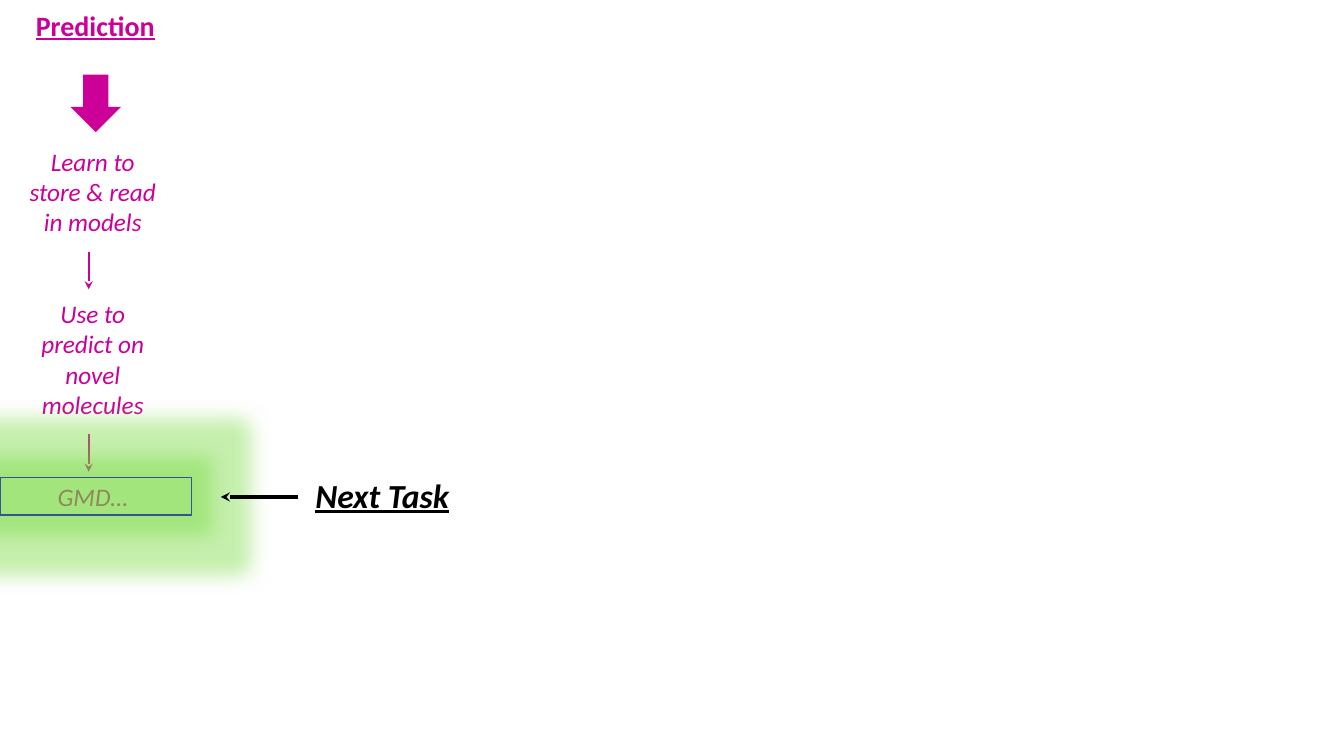
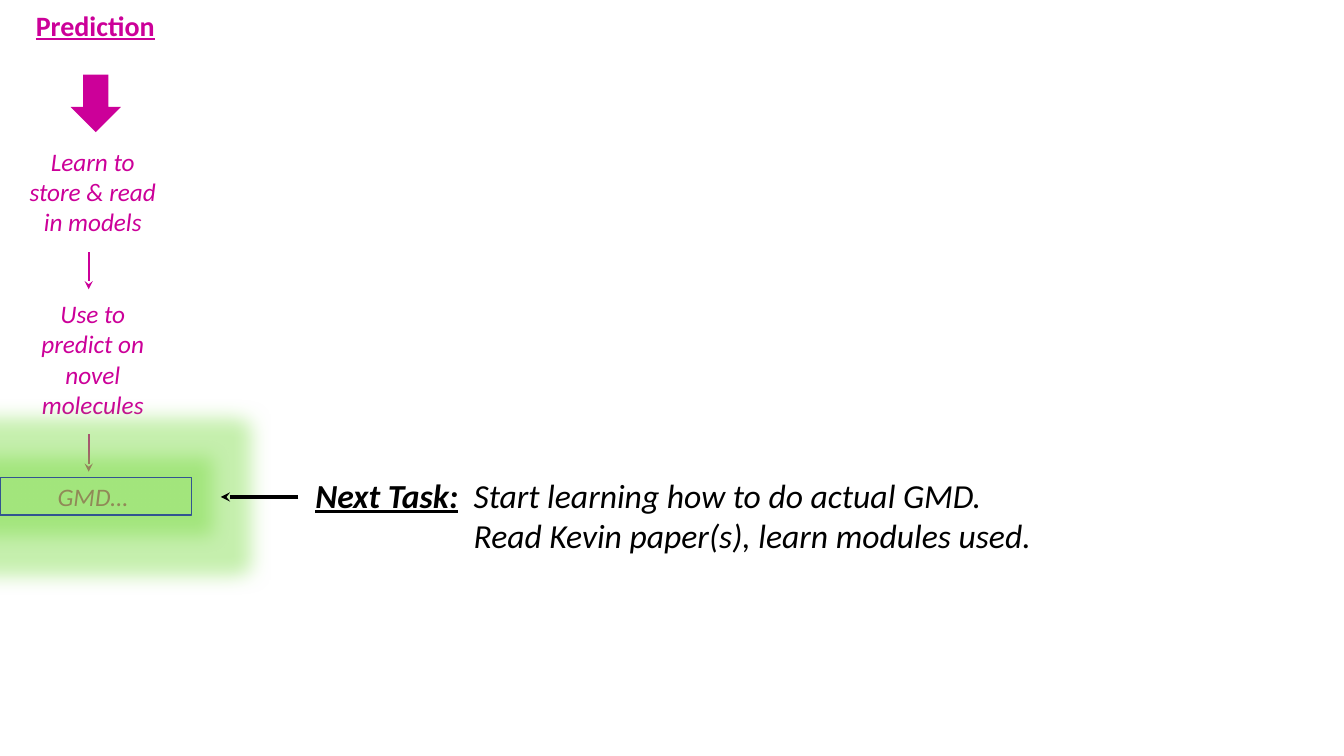
from dataclasses import dataclass

from lxml.etree import SubElement
from pptx import Presentation
from pptx.dml.color import RGBColor
from pptx.enum.shapes import MSO_CONNECTOR, MSO_SHAPE
from pptx.enum.text import MSO_ANCHOR, PP_ALIGN
from pptx.oxml.ns import qn
from pptx.util import Inches, Pt


@dataclass(frozen=True)
class Theme:
    font: str = "Calibri"
    accent: str = "CC0099"
    ink: str = "000000"
    frame: str = "325491"
    glow: str = "70D934"
    title_size: int = 20
    step_size: int = 18
    task_size: int = 24
    step_gap: int = 44
    thin: float = 1.5
    thick: float = 2.25
    glow_radius: float = 0.4
    glow_alpha: int = 40


THEME = Theme()
CELL = 0.1  # inches per grid column and row
STEPS = ["Learn to store & read in models", "Use to predict on novel molecules", "GMD…"]
HEADING = {"bold": True, "italic": True, "underline": True}
PLAIN = {"bold": False, "italic": True, "underline": False}


@dataclass(frozen=True)
class Box:
    """A region measured in grid columns and rows."""
    col: float
    row: float
    cols: float
    rows: float

    def area(self, col, row, cols, rows):
        return Box(self.col + col, self.row + row, cols, rows)

    def point(self, col, row):
        return cells(self.col + col), cells(self.row + row)

    @property
    def frame(self):
        return tuple(cells(n) for n in (self.col, self.row, self.cols, self.rows))


def cells(count):
    return Inches(count * CELL)


def style(target, **formats):
    for name, value in formats.items():
        setattr(target, name, value)


def add_span(para, text, size, color, **formats):
    span = para.add_run()
    span.text = text
    style(span.font, name=THEME.font, size=Pt(size), **formats)
    span.font.color.rgb = RGBColor.from_string(color)


def add_text_box(page, box):
    frame = page.shapes.add_textbox(*box.frame).text_frame
    frame.word_wrap = True
    return frame


def add_shape(page, kind, box, fill=None, line=None):
    shape = page.shapes.add_shape(kind, *box.frame)
    shape.shadow.inherit = False
    for paint, color in ((shape.fill, fill), (shape.line.fill, line)):
        if color:
            paint.solid()
            paint.fore_color.rgb = RGBColor.from_string(color)
        else:
            paint.background()
    return shape


def add_arrow(page, start, end, color, width):
    arrow = page.shapes.add_connector(MSO_CONNECTOR.STRAIGHT, *start, *end)
    arrow.line.color.rgb = RGBColor.from_string(color)
    arrow.line.width = Pt(width)
    outline = arrow._element.spPr.find(qn("a:ln"))
    SubElement(outline, qn("a:tailEnd"), type="stealth")
    SubElement(arrow._element.spPr, qn("a:effectLst"))


def add_glow(shape):
    effects = shape._element.spPr.find(qn("a:effectLst"))
    glow = SubElement(effects, qn("a:glow"), rad=str(Inches(THEME.glow_radius)))
    color = SubElement(glow, qn("a:srgbClr"), val=THEME.glow)
    SubElement(color, qn("a:alpha"), val=str(THEME.glow_alpha * 1000))


def add_title(page, box, text):
    title = page.shapes.title
    style(title, **dict(zip(("left", "top", "width", "height"), box.frame)))
    style(title.text_frame, word_wrap=False, vertical_anchor=MSO_ANCHOR.TOP)
    para = title.text_frame.paragraphs[0]
    para.alignment = PP_ALIGN.CENTER
    add_span(para, text, THEME.title_size, THEME.accent, bold=True, underline=True)


def add_prediction_column(page, box):
    add_title(page, box.area(2.5, 0.3, 13.9, 4.4), "Prediction")

    # Steps, one paragraph each
    frame = add_text_box(page, box.area(1.8, 14, 14.8, 40.4))
    for index, step in enumerate(STEPS):
        para = frame.add_paragraph() if index else frame.paragraphs[0]
        para.alignment = PP_ALIGN.CENTER
        if index:
            para.space_before = Pt(THEME.step_gap)
        add_span(para, step, THEME.step_size, THEME.accent, italic=True)

    # Arrows between the steps
    add_shape(page, MSO_SHAPE.DOWN_ARROW, box.area(7, 7.4, 5, 5.7), fill=THEME.accent)
    for row in (25, 43.1):
        add_arrow(page, box.point(8.8, row), box.point(8.8, row + 3.7),
                  THEME.accent, THEME.thin)

    # Glowing frame around the last step
    marker = add_shape(page, MSO_SHAPE.RECTANGLE, box.area(0, 47.4, box.cols, 3.7),
                       line=THEME.frame)
    marker.line.width = Pt(1)
    add_glow(marker)


def add_task(page, box, heading, actions):
    middle = 2.7
    add_arrow(page, box.point(7.7, middle), box.point(0, middle), THEME.ink, THEME.thick)
    frame = add_text_box(page, box.area(8.4, 0, box.cols - 8.4, box.rows))
    para = frame.paragraphs[0]
    add_span(para, heading, THEME.task_size, THEME.ink, **HEADING)

    # Actions line up on a hanging indent
    indent = cells(15.7)
    for index, action in enumerate(actions):
        if index:
            para = frame.add_paragraph()
        properties = para._p.get_or_add_pPr()
        properties.set("marL", str(indent))
        properties.set("indent", str(0 if index else -indent))
        lead = "" if index else "\t"
        add_span(para, lead + action, THEME.task_size, THEME.ink, **PLAIN)


def add_task_page(deck, heading, actions, cols, rows):
    page = deck.slides.add_slide(deck.slide_layouts[5])
    add_prediction_column(page, Box(0, 0, 19, 75))
    add_task(page, Box(21.9, 46.6, cols, rows), heading, actions)


def main():
    deck = Presentation()
    style(deck, slide_width=Inches(13.33), slide_height=Inches(7.5))
    add_task_page(deck, "Next Task", [], 25, 5)
    add_task_page(deck, "Next Task:", ["Start learning how to do actual GMD.",
                                       "Read Kevin paper(s), learn modules used."], 93.7, 9.1)
    deck.save("out.pptx")


if __name__ == "__main__":
    main()
